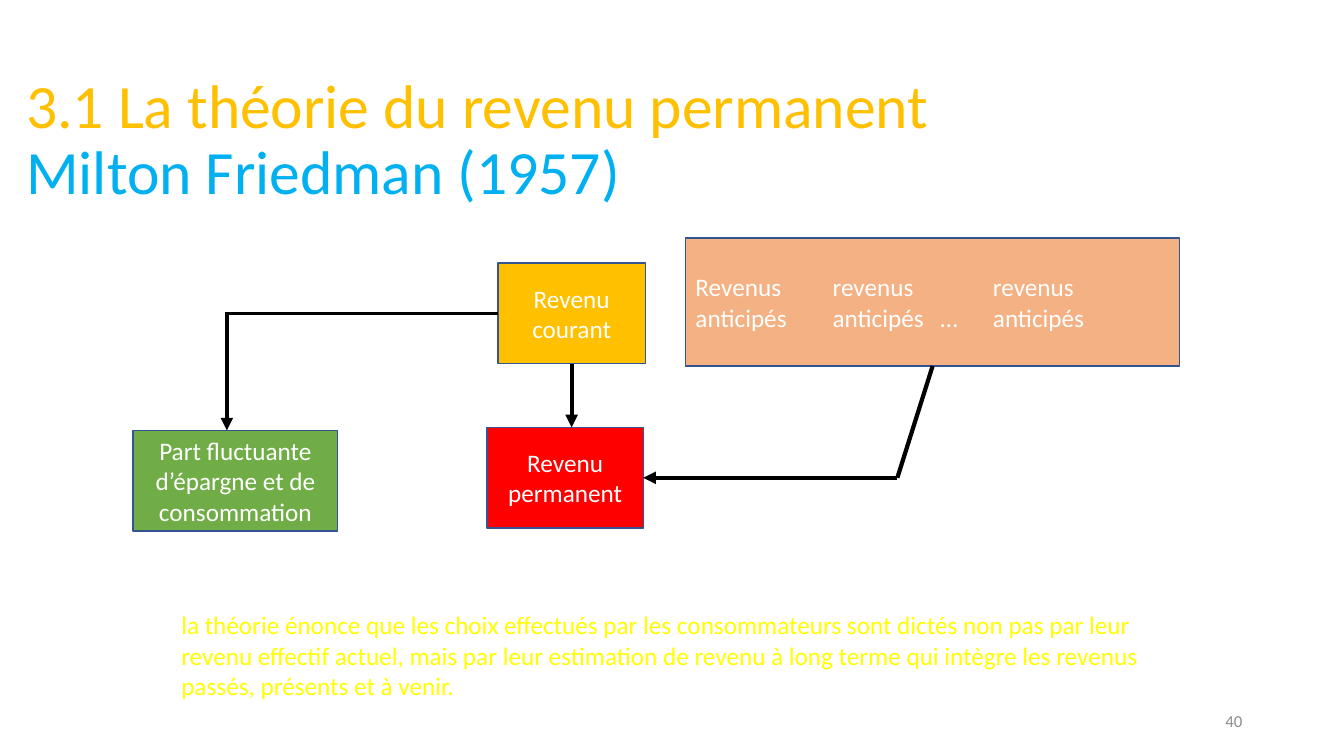
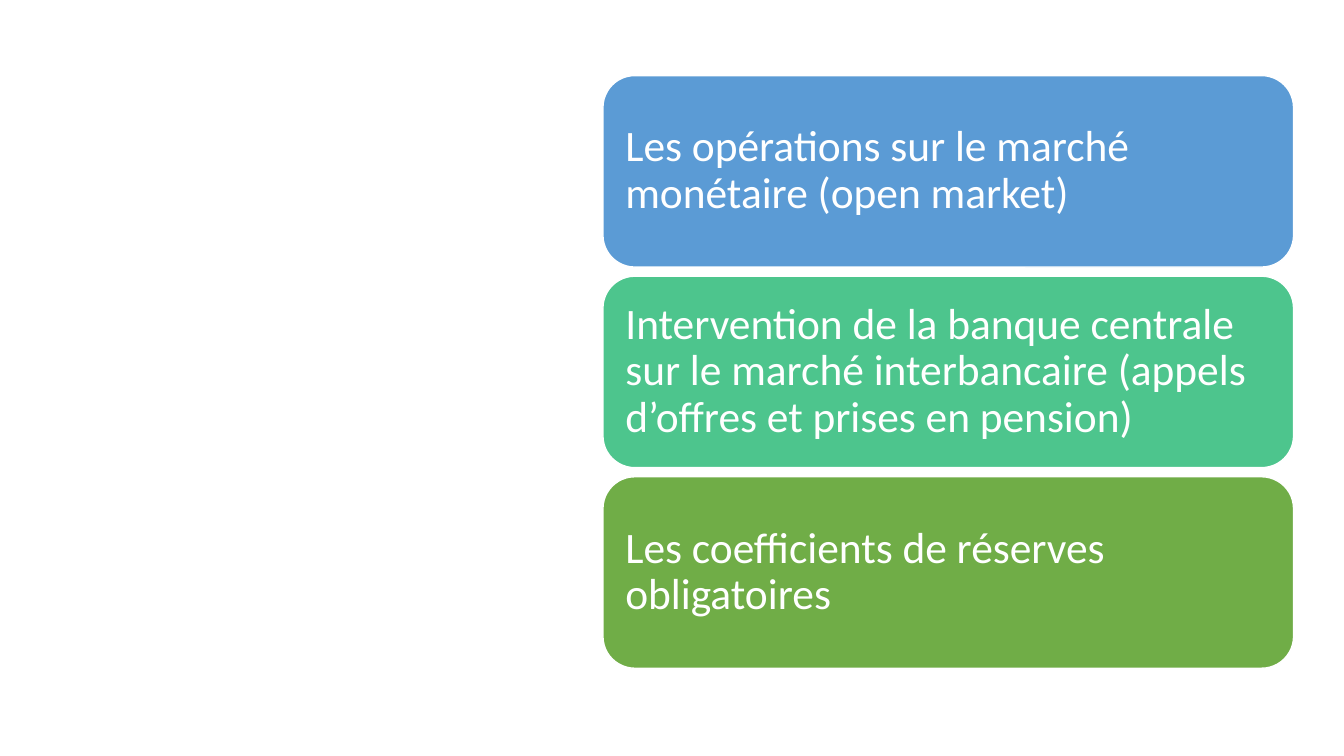
from lxml.etree import SubElement
from pptx import Presentation
from pptx.dml.color import RGBColor
from pptx.enum.shapes import MSO_CONNECTOR, MSO_SHAPE
from pptx.enum.text import MSO_ANCHOR, MSO_AUTO_SIZE, PP_ALIGN
from pptx.oxml.ns import qn
from pptx.util import Inches, Pt

FONT = "Calibri"
COLORS = {
    "white": "FFFFFF", "black": "000000", "gray": "8C8C8C", "outline": "325491",
    "gold": "FFC000", "sky": "00B0F0", "peach": "F4B183", "green": "70AD47",
    "red": "FF0000", "yellow": "FFFF00", "blue": "5B9BD5", "mint": "4DC58D",
}
TOP, BOTTOM, LEFT, RIGHT = 0, 2, 1, 3


def rgb(name):
    return RGBColor.from_string(COLORS[name])


def format_run(r, size, color):
    r.font.name = FONT
    r.font.size = Pt(size)
    r.font.color.rgb = rgb(color)


def write(shape, text, size, color, align=PP_ALIGN.LEFT, anchor=MSO_ANCHOR.MIDDLE, spacing=None):
    tf = shape.text_frame
    tf.word_wrap = True
    tf.vertical_anchor = anchor
    tf.text = text
    for p in tf.paragraphs:
        p.alignment = align
        if spacing:
            p.line_spacing = spacing
        for r in p.runs:
            format_run(r, size, color)
    return tf


def add_title(s, text, colors, at):
    title = s.shapes.title
    title.left, title.top, title.width, title.height = map(Inches, at)
    tf = write(title, text, 44, colors[0], spacing=0.9)
    tf.auto_size = MSO_AUTO_SIZE.NONE
    for r, color in zip(tf.paragraphs[0].runs, colors):
        r.font.color.rgb = rgb(color)


def add_text(s, text, at, size, color, **style):
    write(s.shapes.add_textbox(*map(Inches, at)), text, size, color, **style)


def add_box(s, text, at, fill, kind=MSO_SHAPE.RECTANGLE, line="outline", size=18, **style):
    box = s.shapes.add_shape(kind, *map(Inches, at))
    box.shadow.inherit = False
    box.fill.solid()
    box.fill.fore_color.rgb = rgb(fill)
    box.line.color.rgb = rgb(line)
    box.line.width = Pt(1)
    write(box, text, size, "white", **style)
    return box


def set_tabs(p, stops):
    tabs = SubElement(p._p.get_or_add_pPr(), qn("a:tabLst"))
    for stop in stops:
        SubElement(tabs, qn("a:tab"), pos=str(Inches(stop)), algn="l")


def add_line(s, start, end, width=3, arrow=False, begin_at=None, end_at=None):
    line = s.shapes.add_connector(MSO_CONNECTOR.STRAIGHT, *map(Inches, start + end))
    line.line.color.rgb = rgb("black")
    line.line.width = Pt(width)
    if begin_at:
        line.begin_connect(*begin_at)
    if end_at:
        line.end_connect(*end_at)
    if arrow:
        SubElement(line.line._get_or_add_ln(), qn("a:tailEnd"), type="triangle")
    SubElement(line._element.spPr, qn("a:effectLst"))


def build_income_slide(prs):
    s = prs.slides.add_slide(prs.slide_layouts[5])
    add_title(s, "3.1 La théorie du revenu permanent\vMilton Friedman (1957)",
              ("gold", "sky"), (0.16, 0.68, 11.72, 1.45))

    expected = add_box(s, "Revenus\trevenus\trevenus\nanticipés\tanticipés\t…\tanticipés",
                       (6.8, 2.36, 4.9, 1.27), "peach")
    for p, stops in zip(expected.text_frame.paragraphs, ((1.36, 2.95), (1.36, 2.43, 2.95))):
        set_tabs(p, stops)
    center = PP_ALIGN.CENTER
    current = add_box(s, "Revenu courant", (4.94, 2.61, 1.46, 1), "gold", align=center)
    add_box(s, "Part fluctuante d’épargne et de consommation",
            (1.32, 4.27, 2.03, 1), "green", align=center)
    permanent = add_box(s, "Revenu permanent", (4.83, 4.24, 1.55, 1), "red", align=center)

    add_line(s, (9.25, 3.63), (8.9, 4.74), begin_at=(expected, BOTTOM))
    add_line(s, (8.9, 4.74), (6.38, 4.74), arrow=True, end_at=(permanent, RIGHT))
    add_line(s, (5.67, 3.61), (5.67, 4.24), arrow=True, begin_at=(current, BOTTOM))
    add_line(s, (4.94, 3.11), (2.23, 3.11), width=2.25, begin_at=(current, LEFT))
    add_line(s, (2.25, 3.11), (2.25, 4.27), arrow=True)

    add_text(s, "40", (9.42, 6.95, 3, 0.4), 12, "gray", align=PP_ALIGN.RIGHT)
    add_text(s, "la théorie énonce que les choix effectués par les consommateurs sont dictés "
             "non pas par leur revenu effectif actuel, mais par leur estimation de revenu à long "
             "terme qui intègre les revenus passés, présents et à venir.",
             (1.7, 6, 10, 1.01), 18, "yellow", anchor=MSO_ANCHOR.TOP)


def build_instruments_slide(prs):
    s = prs.slides.add_slide(prs.slide_layouts[6])
    instruments = (
        ("Les opérations sur le marché monétaire (open market)", "blue"),
        ("Intervention de la banque centrale sur le marché interbancaire "
         "(appels d’offres et prises en pension)", "mint"),
        ("Les coefficients de réserves obligatoires", "green"),
    )
    top, height, gap = 0.75, 1.9, 0.09
    for i, (text, fill) in enumerate(instruments):
        card = add_box(s, text, (5.98, top + i * (height + gap), 6.85, height), fill,
                       kind=MSO_SHAPE.ROUNDED_RECTANGLE, line="white", size=31, spacing=0.9)
        tf = card.text_frame
        tf.margin_left = tf.margin_right = Inches(0.13)
        tf.margin_top = tf.margin_bottom = Inches(0.13)


def main():
    prs = Presentation()
    prs.slide_width, prs.slide_height = Inches(13.33), Inches(7.5)
    build_income_slide(prs)
    build_instruments_slide(prs)
    prs.save("out.pptx")


if __name__ == "__main__":
    main()
